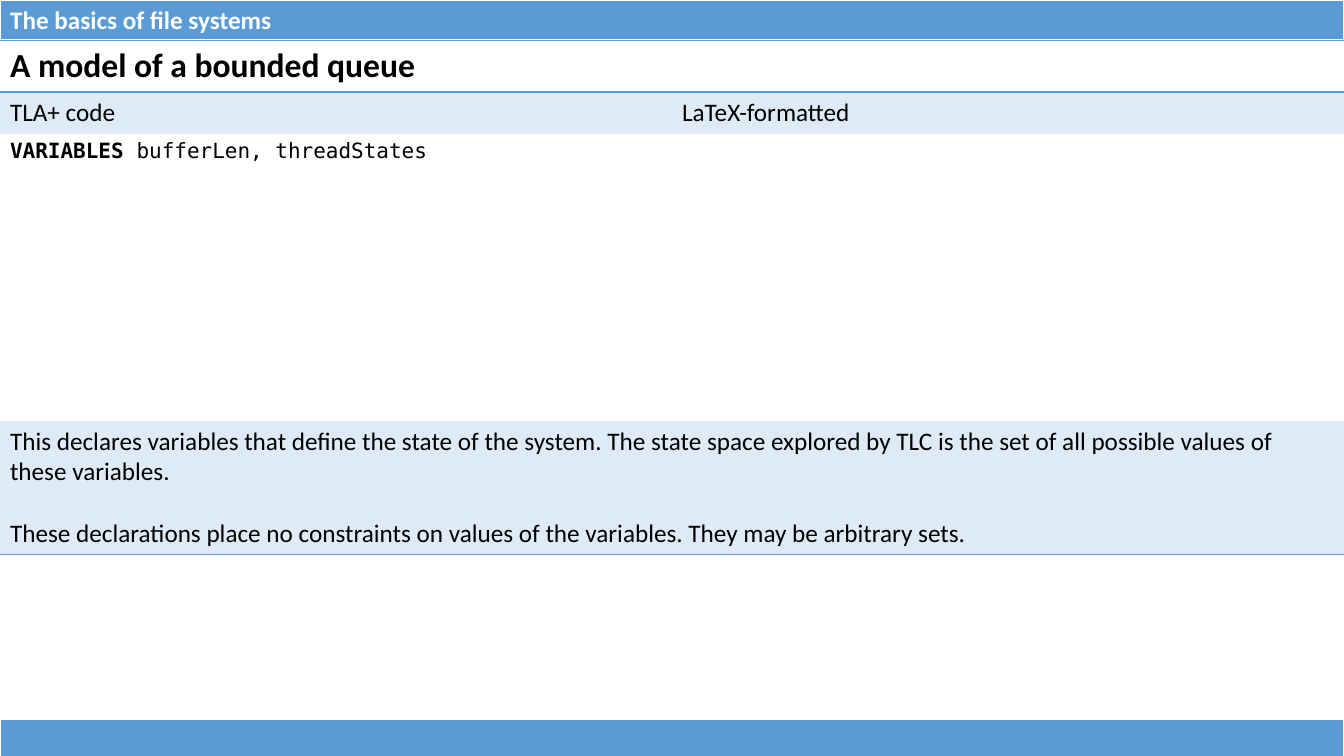
from dataclasses import dataclass

from lxml.etree import SubElement
from pptx import Presentation
from pptx.dml.color import RGBColor
from pptx.oxml.ns import qn
from pptx.util import Cm, Pt


@dataclass(frozen=True)
class Theme:
    blue: str = "5B9BD5"
    white: str = "FFFFFF"
    black: str = "000000"
    tint: int = 20
    body_font: str = "Calibri"
    code_font: str = "DejaVu Sans Mono"
    title_size: int = 24
    body_size: int = 18
    code_size: int = 15
    paragraph_gap: int = 22
    plain_table: str = "{2D5ABB26-0587-4C30-8999-92F81FD0307C}"


WIDTH, HEIGHT = 33.87, 19.05
BAR_HEIGHT = 1.03
FOOTER_TOP = 18.14
ROW_HEIGHTS = [1.28, 1.05, 7.24, 3.35]


class Page:
    def __init__(self, deck, theme):
        self.theme = theme
        self.slide = deck.slides.add_slide(deck.slide_layouts[6])

    def table(self, top, row_heights, columns):
        frame = self.slide.shapes.add_table(
            len(row_heights), columns, 0, Cm(top), Cm(WIDTH), Cm(sum(row_heights)))
        table = frame.table
        table.first_row = table.horz_banding = False
        table._tbl.tblPr.find(qn("a:tableStyleId")).text = self.theme.plain_table
        for column in table.columns:
            column.width = Cm(WIDTH / columns)
        for row, height in zip(table.rows, row_heights):
            row.height = Cm(height)
        return table

    def borders(self, cell, color, **widths):
        properties = cell._tc.get_or_add_tcPr()
        for side in "LRTB":
            if side in widths:
                line = SubElement(properties, qn(f"a:ln{side}"), w=str(Pt(widths[side])))
                fill = SubElement(line, qn("a:solidFill"))
                SubElement(fill, qn("a:srgbClr"), val=color)

    def fill(self, cell, opacity=100):
        cell.fill.solid()
        cell.fill.fore_color.rgb = RGBColor.from_string(self.theme.blue)
        if opacity < 100:
            color = cell._tc.tcPr.find(f"{qn('a:solidFill')}/{qn('a:srgbClr')}")
            SubElement(color, qn("a:alpha"), val=str(opacity * 1000))

    def text(self, cell, paragraphs, size=None, color=None, bold=False):
        frame = cell.text_frame
        frame.text = "\n".join(paragraphs)
        for index, para in enumerate(frame.paragraphs):
            if index:
                para.space_before = Pt(self.theme.paragraph_gap)
            for span in para.runs:
                self.style(span, size or self.theme.body_size, self.theme.body_font,
                           color or self.theme.black, bold)

    def code(self, cell, keyword, rest):
        para = cell.text_frame.paragraphs[0]
        for words, bold in ((keyword, True), (rest, False)):
            span = para.add_run()
            span.text = words
            self.style(span, self.theme.code_size, self.theme.code_font,
                       self.theme.black, bold)

    def style(self, span, size, font, color, bold):
        span.font.size = Pt(size)
        span.font.name = font
        span.font.bold = bold
        span.font.color.rgb = RGBColor.from_string(color)

    def bar(self, top, label=""):
        cell = self.table(top, [BAR_HEIGHT], 1).cell(0, 0)
        self.borders(cell, self.theme.white, L=1, R=1, T=1, B=3)
        self.fill(cell)
        if label:
            self.text(cell, [label], color=self.theme.white, bold=True)


def main():
    deck = Presentation()
    deck.slide_width, deck.slide_height = Cm(WIDTH), Cm(HEIGHT)
    theme = Theme()
    page = Page(deck, theme)

    # Header and footer bars
    page.bar(0, "The basics of file systems")
    page.bar(FOOTER_TOP)

    # Main table: title, headings, code and explanation
    table = page.table(BAR_HEIGHT, ROW_HEIGHTS, 2)
    title, headings, code, notes = ([table.cell(row, col) for col in range(2)]
                                    for row in range(4))
    for left, right in (title, notes):
        left.merge(right)
    for cell in title:
        page.borders(cell, theme.blue, T=1, B=1)
    for cell in notes:
        page.borders(cell, theme.blue, B=1)
    for cell in headings + notes:
        page.fill(cell, theme.tint)

    # Wording
    page.text(title[0], ["A model of a bounded queue"], size=theme.title_size, bold=True)
    for cell, heading in zip(headings, ("TLA+ code", "LaTeX-formatted")):
        page.text(cell, [heading])
    page.code(code[0], "VARIABLES ", "bufferLen, threadStates")
    page.text(notes[0], [
        "This declares variables that define the state of the system. The state space "
        "explored by TLC is the set of all possible values of these variables.",
        "These declarations place no constraints on values of the variables. "
        "They may be arbitrary sets.",
    ])

    deck.save("out.pptx")


if __name__ == "__main__":
    main()
